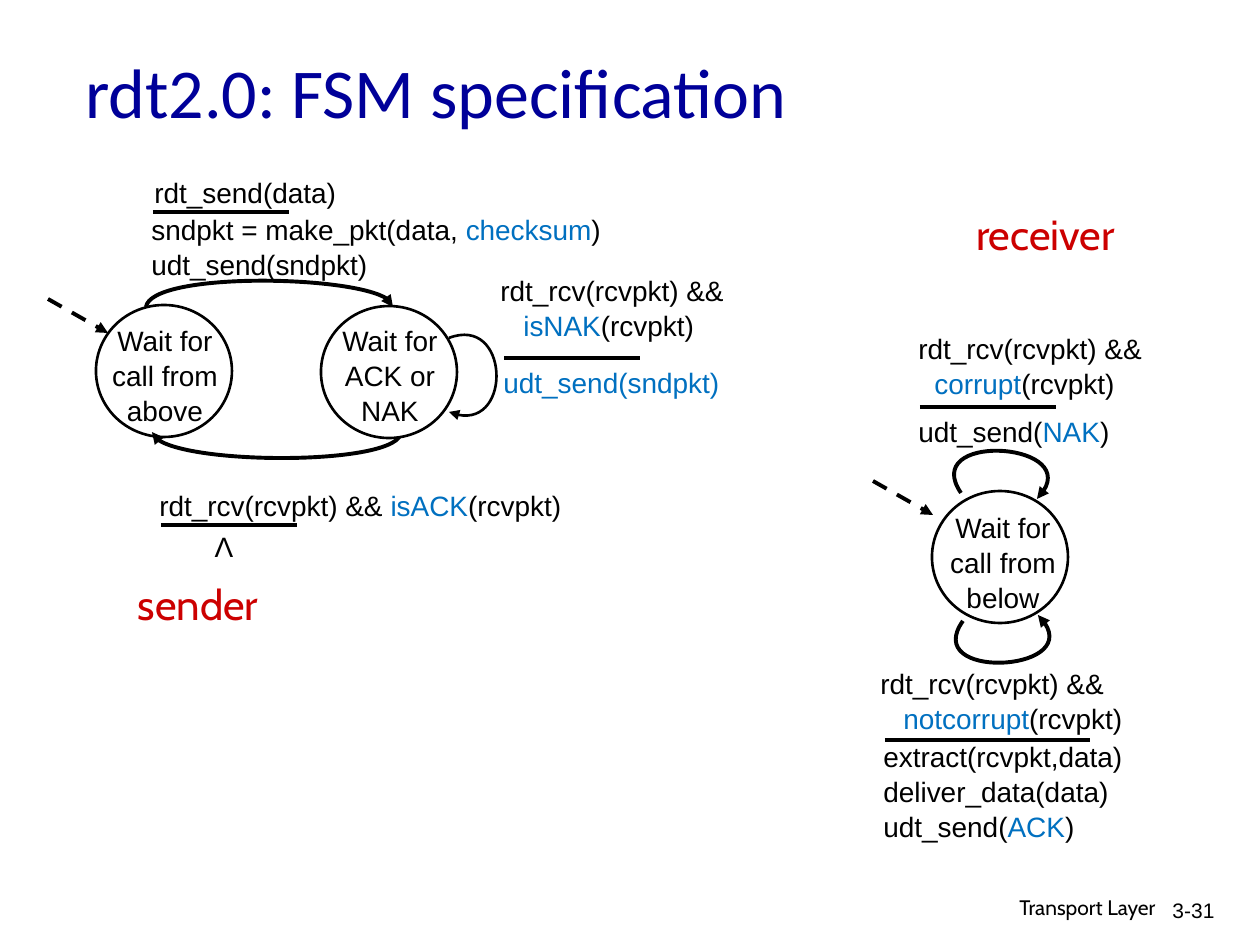
import pptx
import pptx.util
import pptx.dml.color
import pptx.enum.dml
import pptx.enum.shapes
import pptx.enum.text
import pptx.oxml
import pptx.oxml.ns

RGB = pptx.dml.color.RGBColor
BLACK = RGB(0x00, 0x00, 0x00)
WHITE = RGB(0xFF, 0xFF, 0xFF)
BLUE = RGB(0x00, 0x70, 0xC0)
NAVY = RGB(0x00, 0x00, 0x99)
RED = RGB(0xCC, 0x00, 0x00)
ALIGN = pptx.enum.text.PP_ALIGN
LEFT, MID, RIGHT = ALIGN.LEFT, ALIGN.CENTER, ALIGN.RIGHT
SCALE = 914400 / 126


def emu(*sizes):
    return [round(size * SCALE) for size in sizes]


def node(tag, **attrs):
    item = pptx.oxml.parse_xml(f"<a:{tag} {pptx.oxml.ns.nsdecls('a')}/>")
    for key, value in attrs.items():
        item.set(key, value)
    return item


class Chart:
    face = "Arial"
    size = 16
    thick = 2.25
    thin = 1.5
    round_size = (136, 132)

    def __init__(self, slide):
        self.shapes = slide.shapes

    def text(self, box, words, face=None, size=None, color=BLACK, align=LEFT,
             indent=0, middle=False, wrap=True, pitch=None):
        frame = self.shapes.add_textbox(*emu(*box)).text_frame
        frame.word_wrap = wrap
        if middle:
            frame.vertical_anchor = pptx.enum.text.MSO_ANCHOR.MIDDLE
        for row, line in enumerate(words.split("\n")):
            para = frame.add_paragraph() if row else frame.paragraphs[0]
            para.alignment = align
            if pitch:
                para.line_spacing = pitch
            if row and indent:
                props = para._p.get_or_add_pPr()
                props.set("marL", str(emu(indent)[0]))
                props.set("indent", "0")
            for part, piece in enumerate(line.split("*")):
                if piece:
                    run = para.add_run()
                    run.text = piece
                    run.font.name = face or self.face
                    run.font.size = pptx.util.Pt(size or self.size)
                    run.font.color.rgb = BLUE if part % 2 else color

    def code(self, box, words, **style):
        self.text(box, words, pitch=1.04, **style)

    def stroke(self, shape, width, dash=False, arrow=False):
        shape.line.color.rgb = BLACK
        shape.line.width = pptx.util.Pt(width)
        if dash:
            shape.line.dash_style = pptx.enum.dml.MSO_LINE.DASH
        if arrow:
            shape.line._get_or_add_ln().append(node("tailEnd", type="triangle"))

    def line(self, start, end, **style):
        kind = pptx.enum.shapes.MSO_CONNECTOR.STRAIGHT
        link = self.shapes.add_connector(kind, *emu(*start, *end))
        self.stroke(link, self.thick, **style)
        link._element.spPr.append(node("effectLst"))

    def rule(self, x, y, length=136):
        self.line((x, y), (x + length, y))

    def entry(self, x, y):
        self.line((x, y), (x + 60, y + 34), dash=True, arrow=True)

    def curve(self, start, *points, width=None):
        draft = self.shapes.build_freeform(*emu(*start))
        draft.add_line_segments([emu(*point) for point in points], close=False)
        shape = draft.convert_to_shape()
        shape.fill.background()
        shape.shadow.inherit = False
        self.stroke(shape, width or self.thick, arrow=True)
        track = shape._element.xpath(".//a:path")[0]
        bend = node("cubicBezTo")
        for step in track.xpath("./a:lnTo"):
            bend.append(step[0])
            track.remove(step)
        track.append(bend)

    def state(self, x, y, words, shift=1, drop=11):
        wide, tall = self.round_size
        kind = pptx.enum.shapes.MSO_SHAPE.OVAL
        disc = self.shapes.add_shape(kind, *emu(x, y, wide, tall))
        disc.fill.solid()
        disc.fill.fore_color.rgb = WHITE
        disc.shadow.inherit = False
        self.stroke(disc, self.thin)
        self.code((x - 15 + shift, y + drop, wide + 30, 84), words, align=MID)


def sender(chart):
    chart.state(96, 305, "Wait for call from above")
    chart.code((142, 168, 311, 59), "rdt_send(data)")
    chart.rule(153, 212)
    chart.code((139, 205, 501, 55),
               "sndpkt = make_pkt(data, *checksum*)\nudt_send(sndpkt)")
    chart.curve((146, 307), (151, 272), (393, 275), (393, 307))
    chart.curve((401, 432), (401, 465), (158, 466), (152, 432))
    chart.code((147, 481, 489, 39), "rdt_rcv(rcvpkt) && *isACK*(rcvpkt)")
    chart.rule(161, 525)
    chart.code((202, 522, 44, 47), "Λ", align=MID, wrap=False)
    chart.curve((449, 338), (509, 315), (513, 438), (449, 412), width=chart.thin)
    chart.code((488, 266, 287, 87), "rdt_rcv(rcvpkt) &&\n*isNAK*(rcvpkt)", indent=23)
    chart.rule(504, 358)
    chart.code((491, 358, 243, 55), "*udt_send(sndpkt)*")
    chart.state(321, 306, "Wait for ACK or NAK", drop=10)
    chart.entry(48, 299)
    chart.text((123, 572, 150, 63), "sender", face="Cabin", size=24,
               color=RED, align=MID, wrap=False)


def receiver(chart):
    chart.code((906, 324, 265, 43), "rdt_rcv(rcvpkt) &&\n*corrupt*(rcvpkt)", indent=16)
    chart.rule(920, 407)
    chart.code((906, 407, 252, 35), "udt_send(*NAK*)")
    chart.entry(873, 481)
    chart.curve((961, 493), (920, 433), (1092, 442), (1037, 499))
    chart.state(932, 491, "Wait for call from below", shift=3, drop=12)
    chart.curve((963, 621), (921, 680), (1095, 672), (1038, 615))
    chart.code((868, 659, 297, 97), "rdt_rcv(rcvpkt) &&\n*notcorrupt*(rcvpkt)", indent=23)
    chart.rule(885, 740, 205)
    chart.code((871, 732, 295, 94),
               "extract(rcvpkt,data)\ndeliver_data(data)\nudt_send(*ACK*)")
    chart.text((960, 202, 171, 63), "receiver", face="Cabin", size=24,
               color=RED, align=MID, wrap=False)


def main():
    deck = pptx.Presentation()
    deck.slide_width, deck.slide_height = emu(1260, 945)
    chart = Chart(deck.slides.add_slide(deck.slide_layouts[6]))
    chart.text((769, 888, 399, 39), "Transport Layer", face="Cabin", size=12, align=RIGHT)
    chart.text((1147, 891, 93, 38), "3-31", size=12, align=MID)
    chart.text((73, 19, 1071, 142), "rdt2.0: FSM specification",
               face="Calibri", size=40, color=NAVY, middle=True)
    sender(chart)
    receiver(chart)
    deck.save("out.pptx")


if __name__ == "__main__":
    main()
